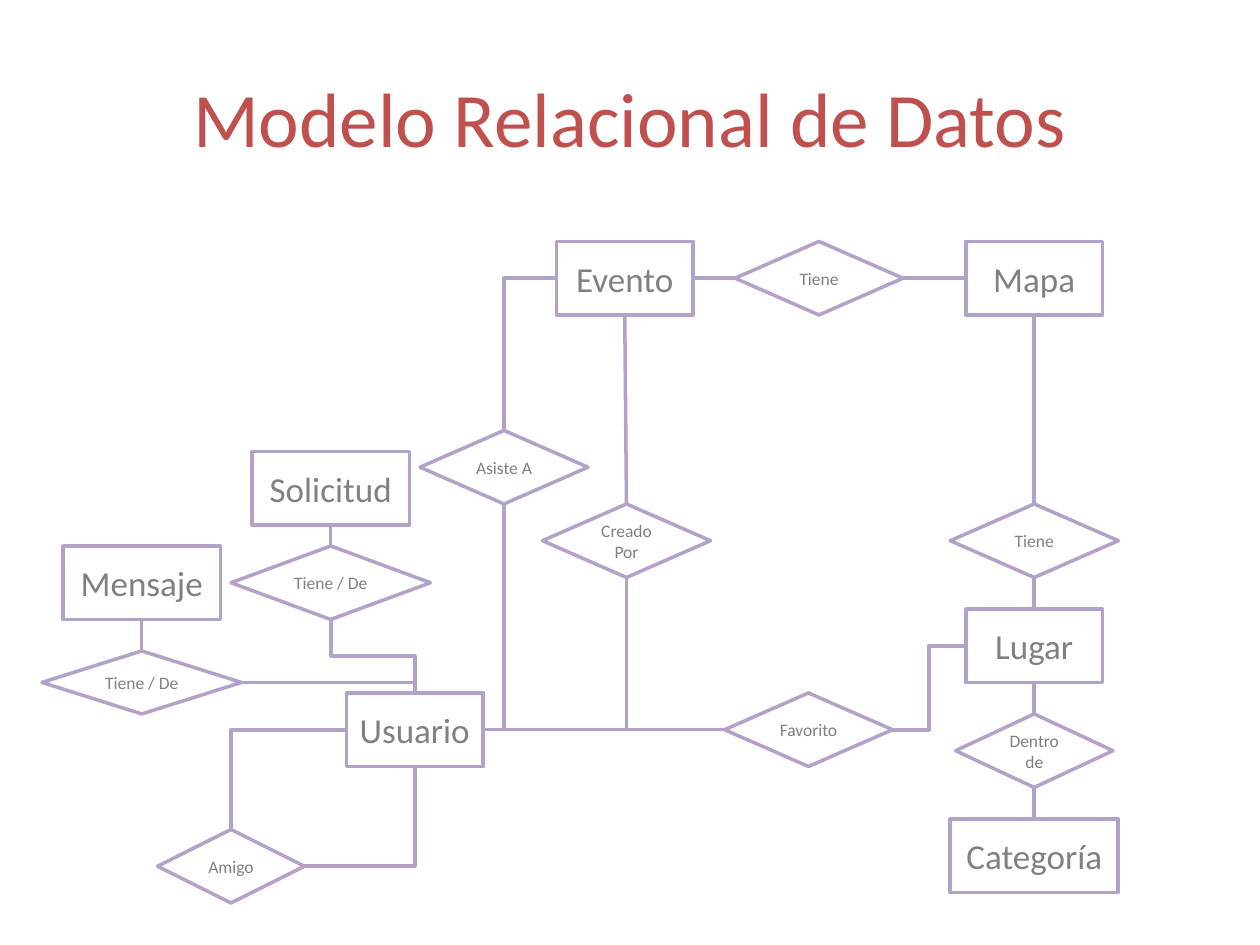
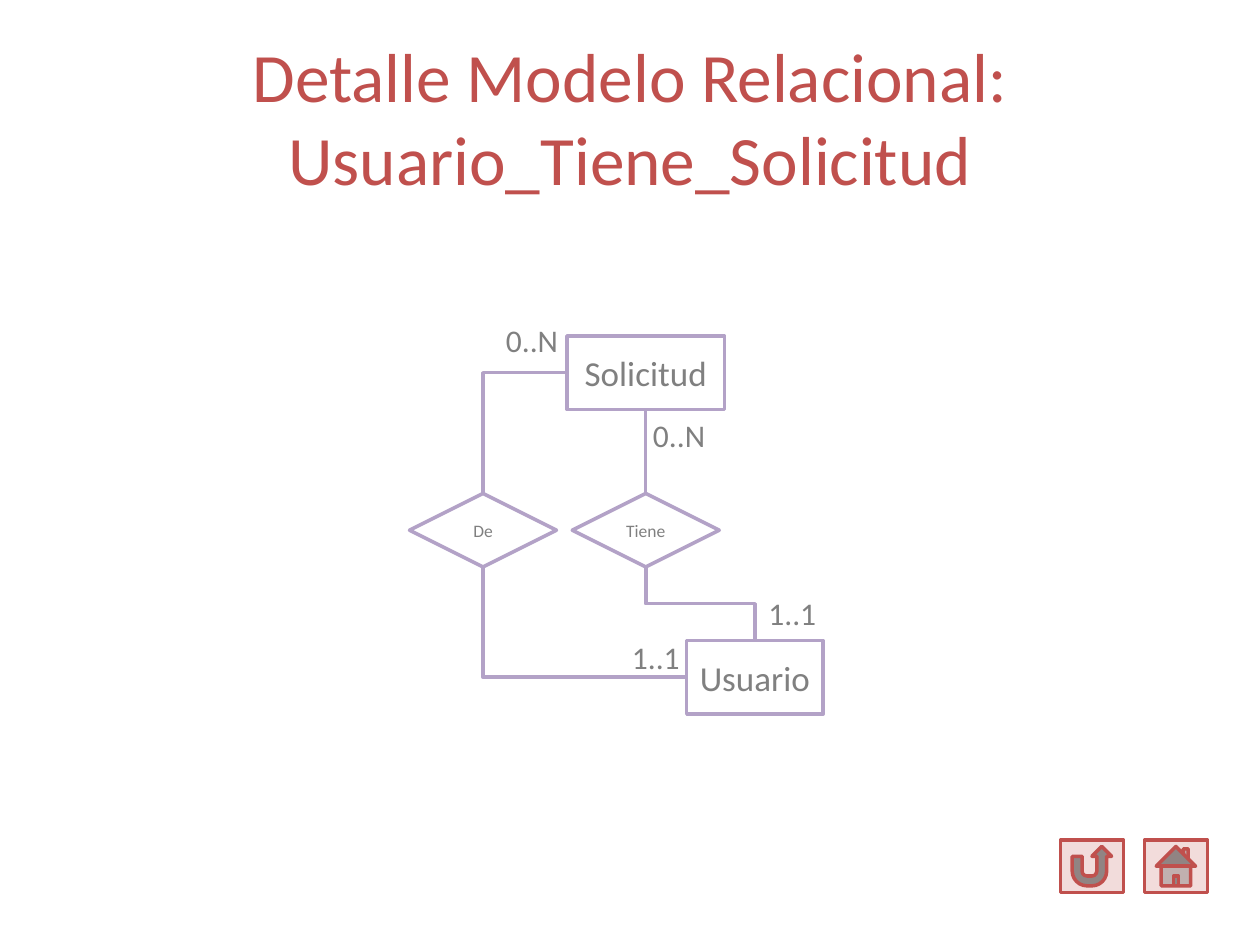
import pptx
import pptx.util
import pptx.dml.color
import pptx.enum.shapes
import pptx.enum.text
import pptx.oxml.ns
import lxml.etree

Pt = pptx.util.Pt
SHAPE = pptx.enum.shapes.MSO_SHAPE
CONN = pptx.enum.shapes.MSO_CONNECTOR
ALIGN = pptx.enum.text.PP_ALIGN
ANCHOR = pptx.enum.text.MSO_ANCHOR
qn = pptx.oxml.ns.qn

COLORS = {"title": "C0504D", "text": "808080", "outline": "B3A2C7",
          "fill": "FFFFFF", "button": "F2DCDB"}
RGB = {k: pptx.dml.color.RGBColor.from_string(v) for k, v in COLORS.items()}
KINDS = {"entity": (SHAPE.RECTANGLE, 20), "relation": (SHAPE.DIAMOND, 10)}
SITES = {"top": 0, "left": 1, "bottom": 2, "right": 3}
VERTICAL = ("top", "bottom")


def write(sp, text, size=20, color="text", align=ALIGN.CENTER, anchor=ANCHOR.MIDDLE):
    tf = sp.text_frame
    tf.word_wrap = True
    tf.vertical_anchor = anchor
    p = tf.paragraphs[0]
    p.text = text
    p.alignment = align
    for r in p.runs:
        r.font.name = "Calibri"
        r.font.size = Pt(size)
        r.font.color.rgb = RGB[color]


def connect(s, a, a_side, b, b_side):
    """Join two shapes; an L-shaped route starts with its horizontal leg."""
    c = s.shapes.add_connector(CONN.STRAIGHT, 0, 0, 0, 0)
    c.begin_connect(a, SITES[a_side])
    c.end_connect(b, SITES[b_side])
    c.line.color.rgb = RGB["outline"]
    c.line.width = Pt(2)
    spPr = c._element.spPr
    lxml.etree.SubElement(spPr, qn("a:effectLst"))
    geom = spPr.find(qn("a:prstGeom"))
    dx, dy = c.end_x - c.begin_x, c.end_y - c.begin_y
    if (a_side in VERTICAL) != (b_side in VERTICAL):
        geom.set("prst", "bentConnector2")
    elif min(abs(dx), abs(dy)) > Pt(2):
        geom.set("prst", "bentConnector3")
        if a_side in VERTICAL:
            # Turn the route a quarter about its centre: vertical legs at both ends
            cx, cy = c.begin_x + dx // 2, c.begin_y + dy // 2
            c.begin_x, c.end_x = cx - dy // 2, cx + dy // 2
            c.begin_y, c.end_y = cy + dx // 2, cy - dx // 2
            spPr.find(qn("a:xfrm")).set("rot", "5400000")


# Each node: key, text, kind, left, top, width, height
# Each link: from key, side, to key, side
diagrams = [
    {
        "title": "Modelo Relacional de Datos", "size": 44,
        "nodes": [
            ("usuario", "Usuario", "entity", 198, 396, 78, 42),
            ("amigo", "Amigo", "relation", 90, 474, 84, 42),
            ("lugar", "Lugar", "entity", 552, 348, 78, 42),
            ("favorito", "Favorito", "relation", 414, 396, 96, 42),
            ("mapa", "Mapa", "entity", 552, 138, 78, 42),
            ("mapa_lugar", "Tiene", "relation", 543, 288, 96, 42),
            ("dentro", "Dentro de", "relation", 546, 408, 90, 42),
            ("categoria", "Categoría", "entity", 543, 468, 96, 42),
            ("evento_mapa", "Tiene", "relation", 420, 138, 96, 42),
            ("mensaje", "Mensaje", "entity", 36, 312, 90, 42),
            ("solicitud", "Solicitud", "entity", 144, 258, 90, 42),
            ("de_mensaje", "Tiene / De", "relation", 24, 372, 114, 36),
            ("de_solicitud", "Tiene / De", "relation", 132, 312, 114, 42),
            ("evento", "Evento", "entity", 318, 138, 78, 42),
            ("creado", "Creado Por", "relation", 310, 288, 96, 42),
            ("asiste", "Asiste A", "relation", 240, 246, 96, 42),
        ],
        "links": [
            ("usuario", "left", "amigo", "top"),
            ("amigo", "right", "usuario", "bottom"),
            ("usuario", "right", "favorito", "left"),
            ("lugar", "top", "mapa_lugar", "bottom"),
            ("mapa", "bottom", "mapa_lugar", "top"),
            ("dentro", "top", "lugar", "bottom"),
            ("categoria", "top", "dentro", "bottom"),
            ("de_mensaje", "right", "usuario", "top"),
            ("de_solicitud", "bottom", "usuario", "top"),
            ("lugar", "left", "favorito", "right"),
            ("usuario", "right", "asiste", "bottom"),
            ("usuario", "right", "creado", "bottom"),
            ("evento", "left", "asiste", "top"),
            ("evento_mapa", "right", "mapa", "left"),
            ("evento", "bottom", "creado", "top"),
            ("evento_mapa", "left", "evento", "right"),
            ("mensaje", "bottom", "de_mensaje", "top"),
            ("solicitud", "bottom", "de_solicitud", "top"),
        ],
        "labels": [],
        "buttons": [],
    },
    {
        "title": "Detalle Modelo Relacional:\vUsuario_Tiene_Solicitud", "size": 39.6,
        "nodes": [
            ("usuario", "Usuario", "entity", 392.4, 366, 78, 42),
            ("solicitud", "Solicitud", "entity", 324, 192, 90, 42),
            ("tiene", "Tiene", "relation", 327, 282, 84, 42),
            ("de", "De", "relation", 234, 282, 84, 42),
        ],
        "links": [
            ("tiene", "bottom", "usuario", "top"),
            ("solicitud", "bottom", "tiene", "top"),
            ("usuario", "left", "de", "bottom"),
            ("solicitud", "left", "de", "top"),
        ],
        "labels": [("0..N", 366, 234), ("1..1", 432, 336),
                   ("1..1", 354, 361), ("0..N", 282, 180)],
        "buttons": [(SHAPE.ACTION_BUTTON_HOME, 654), (SHAPE.ACTION_BUTTON_RETURN, 606)],
    },
]

prs = pptx.Presentation()
prs.slide_width, prs.slide_height = Pt(720), Pt(540)

for d in diagrams:
    s = prs.slides.add_slide(prs.slide_layouts[5])

    # Title
    sp = s.shapes.title
    sp.left, sp.top, sp.width, sp.height = Pt(36), Pt(21.6), Pt(648), Pt(90)
    write(sp, d["title"], size=d["size"], color="title")

    # Entities and relations
    nodes = {}
    for key, text, kind, *box in d["nodes"]:
        preset, size = KINDS[kind]
        sp = s.shapes.add_shape(preset, *map(Pt, box))
        sp.shadow.inherit = False
        sp.fill.solid()
        sp.fill.fore_color.rgb = RGB["fill"]
        sp.line.color.rgb = RGB["outline"]
        sp.line.width = Pt(2)
        write(sp, text, size=size)
        nodes[key] = sp

    # Links
    for a, a_side, b, b_side in d["links"]:
        connect(s, nodes[a], a_side, nodes[b], b_side)

    # Cardinalities
    for text, x, y in d["labels"]:
        sp = s.shapes.add_textbox(Pt(x), Pt(y), Pt(48), Pt(29))
        write(sp, text, size=18, align=ALIGN.LEFT, anchor=ANCHOR.TOP)

    # Navigation buttons
    for preset, x in d["buttons"]:
        sp = s.shapes.add_shape(preset, Pt(x), Pt(480), Pt(36), Pt(30))
        sp.shadow.inherit = False
        sp.fill.solid()
        sp.fill.fore_color.rgb = RGB["button"]
        sp.line.color.rgb = RGB["title"]
        sp.line.width = Pt(2)

prs.save("out.pptx")
